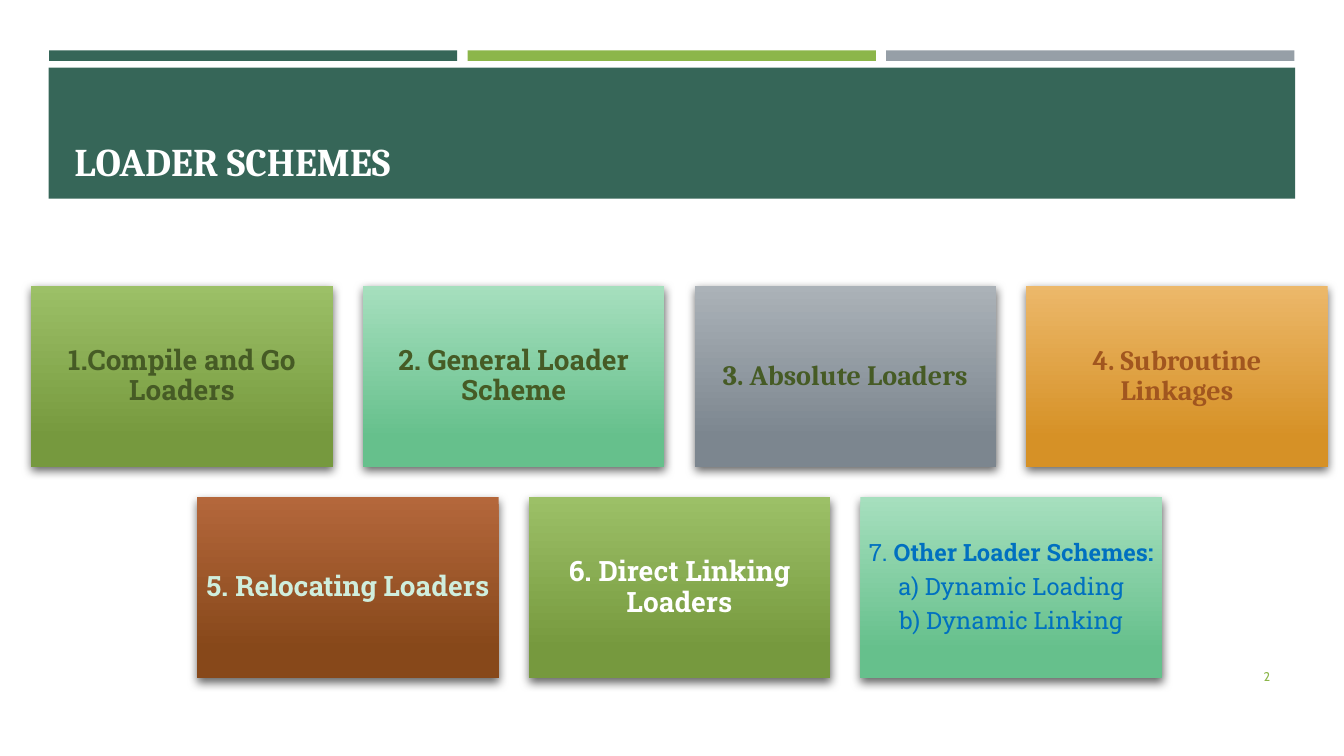
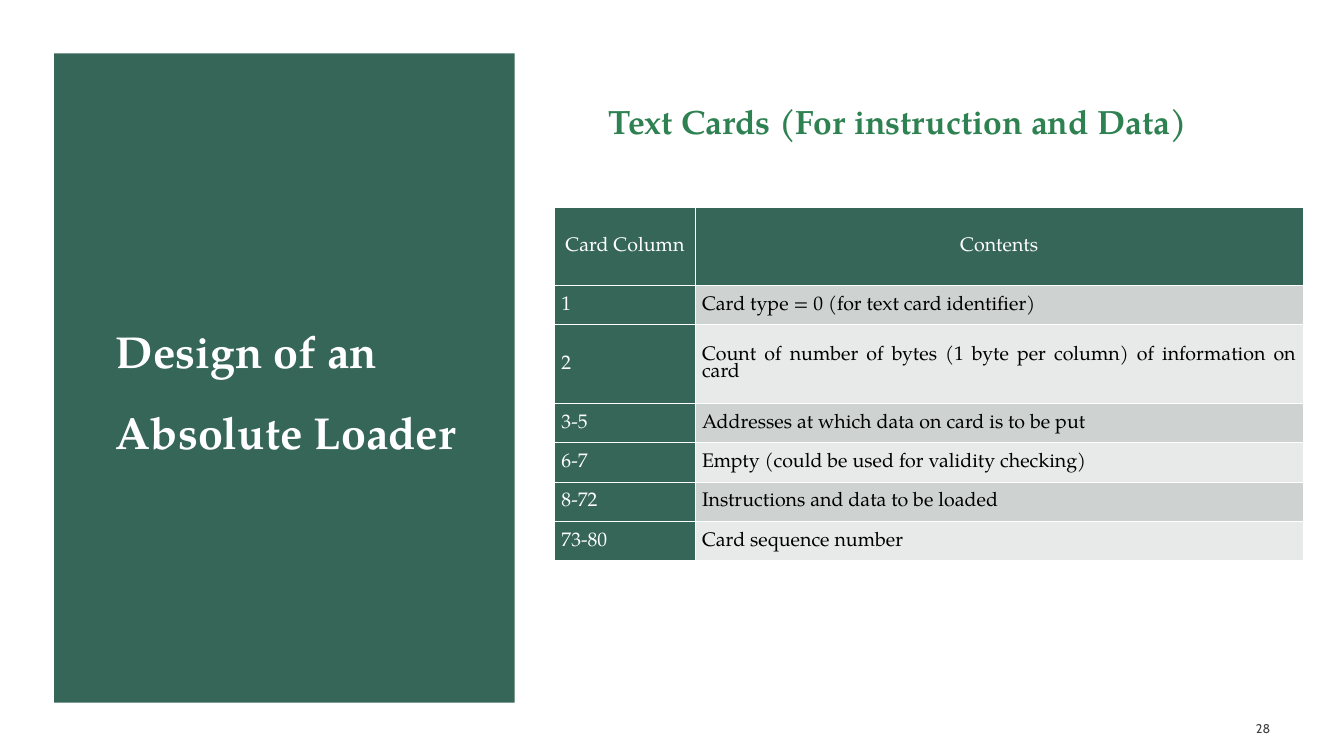
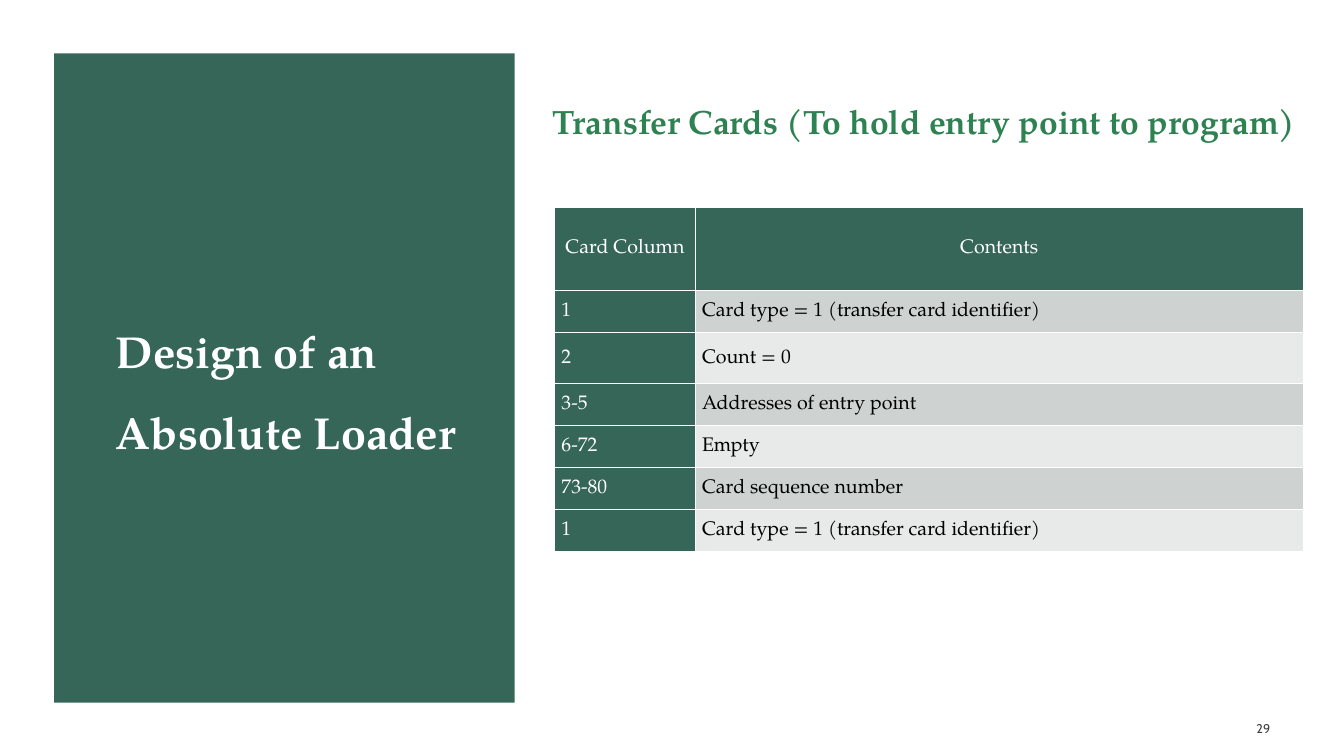
from lxml.etree import SubElement
from pptx import Presentation
from pptx.dml.color import RGBColor
from pptx.enum.shapes import MSO_SHAPE
from pptx.enum.text import MSO_ANCHOR as ANCHOR, MSO_AUTO_SIZE as AUTO, PP_ALIGN as AL
from pptx.oxml.ns import qn
from pptx.util import Pt

GREEN, LIME, GREY, WHITE, BLACK = "366658", "8CB64A", "969FA7", "FFFFFF", "000000"
HEADING, NUMBER, BLUE, OLIVE = "2E8151", "404040", "0070C0", "465B25"
BODY_ROWS = "CED3D1", "E8EAEA"
SERIF, SLAB, BOOK, SANS = "Cambria", "Roboto Slab", "TeX Gyre Pagella", "Cabin"

LIME_GRAD, MINT_GRAD = ("9CC067", "76993E"), ("A6DFBE", "66C08C")
GREY_GRAD, GOLD_GRAD = ("ABB2B8", "7C868F"), ("ECB86A", "D69126")
RUST_GRAD = "B4673B", "87481A"

CARD_W, CARD_H, CARD_GAP = 215.4, 129.6, 21.5
CARD_LEFT, CARD_TOP, CARDS_PER_ROW = 22.3, 204, 4

# Gradient, font, text colour, size, paragraphs of (text, bold) runs
CARDS = [
    (LIME_GRAD, SLAB, OLIVE, 20, [[("1.Compile and Go Loaders", True)]]),
    (MINT_GRAD, SLAB, OLIVE, 20, [[("2. General Loader Scheme", True)]]),
    (GREY_GRAD, SERIF, OLIVE, 20, [[("3. Absolute Loaders", True)]]),
    (GOLD_GRAD, SERIF, "A1561F", 20, [[("4. Subroutine Linkages", True)]]),
    (RUST_GRAD, SLAB, "CFEEDD", 20, [[("5. Relocating Loaders", True)]]),
    (LIME_GRAD, SLAB, WHITE, 20, [[("6. Direct Linking Loaders", True)]]),
    (MINT_GRAD, SLAB, BLUE, 17, [
        [("7.", False), (" Other Loader Schemes:", True)],
        [("a) Dynamic Loading", False)],
        [("b) Dynamic Linking", False)]]),
]

TABLE_HEAD = "Card Column", "Contents"
TEXT_CARDS = [
    ("1", "Card type = 0 (for text card identifier)"),
    ("2", "Count of number of bytes (1 byte per column) of information on card"),
    ("3-5", "Addresses at which data on card is to be put"),
    ("6-7", "Empty (could be used for validity checking)"),
    ("8-72", "Instructions and data to be loaded"),
    ("73-80", "Card sequence number"),
]
TRANSFER_CARDS = [
    ("1", "Card type = 1 (transfer card identifier)"),
    ("2", "Count = 0"),
    ("3-5", "Addresses of entry point"),
    ("6-72", "Empty"),
    ("73-80", "Card sequence number"),
    ("1", "Card type = 1 (transfer card identifier)"),
]


def rgb(value):
    return RGBColor.from_string(value)


def format_run(r, font, size, color, bold=False):
    r.font.name, r.font.size, r.font.bold = font, Pt(size), bold
    r.font.color.rgb = rgb(color)


def write(p, text, font, size, color, bold=False, align=AL.LEFT):
    p.text = text
    p.alignment = align
    for r in p.runs:
        format_run(r, font, size, color, bold)


def add_rect(s, left, top, width, height, fill=None):
    sp = s.shapes.add_shape(MSO_SHAPE.RECTANGLE, Pt(left), Pt(top), Pt(width), Pt(height))
    sp.line.fill.background()
    sp.shadow.inherit = False
    if fill:
        sp.fill.solid()
        sp.fill.fore_color.rgb = rgb(fill)
    return sp


def add_text(s, left, top, width, height, text, anchor=ANCHOR.TOP, **style):
    tf = s.shapes.add_textbox(Pt(left), Pt(top), Pt(width), Pt(height)).text_frame
    tf.word_wrap = True
    tf.vertical_anchor = anchor
    write(tf.paragraphs[0], text, **style)


def add_number(s, top, number, color):
    add_text(s, 831.6, top, 82.8, 28.8, number, ANCHOR.MIDDLE,
             font=SANS, size=9, color=color, align=AL.RIGHT)


def set_title(s, left, top, width, height, text, font, size, anchor, spacing=1.0):
    """Place the title in front of the shapes drawn so far."""
    sp = s.shapes.title
    sp.element.getparent().append(sp.element)
    sp.left, sp.top, sp.width, sp.height = Pt(left), Pt(top), Pt(width), Pt(height)
    tf = sp.text_frame
    tf.auto_size, tf.word_wrap, tf.vertical_anchor = AUTO.NONE, True, anchor
    write(tf.paragraphs[0], text, font, size, WHITE, bold=True)
    tf.paragraphs[0].line_spacing = spacing


def add_shadow(sp):
    effects = sp.element.spPr.find(qn("a:effectLst"))
    shadow = SubElement(effects, qn("a:outerShdw"), blurRad=str(Pt(7)), dist=str(Pt(3)),
                        dir="5040000", rotWithShape="0")
    color = SubElement(shadow, qn("a:srgbClr"), val=BLACK)
    SubElement(color, qn("a:alpha"), val="60000")


def add_card(s, left, top, gradient, font, color, size, paragraphs):
    sp = add_rect(s, left, top, CARD_W, CARD_H)
    sp.fill.gradient()
    sp.fill.gradient_angle = 270
    for stop, shade, position in zip(sp.fill.gradient_stops, gradient, (0, 0.84)):
        stop.color.rgb = rgb(shade)
        stop.position = position
    add_shadow(sp)
    tf = sp.text_frame
    tf.word_wrap, tf.vertical_anchor = True, ANCHOR.MIDDLE
    tf.margin_left = tf.margin_right = tf.margin_top = tf.margin_bottom = Pt(5.5)
    for i, runs in enumerate(paragraphs):
        p = tf.add_paragraph() if i else tf.paragraphs[0]
        p.alignment, p.line_spacing, p.space_after = AL.CENTER, 0.9, Pt(size * 0.35)
        for text, bold in runs:
            r = p.add_run()
            r.text = text
            format_run(r, font, size, color, bold)


def set_borders(cell, color, width):
    tcPr = cell._tc.get_or_add_tcPr()
    for i, side in enumerate("LRTB"):
        ln = SubElement(tcPr, qn("a:ln" + side), w=str(Pt(width)))
        SubElement(SubElement(ln, qn("a:solidFill")), qn("a:srgbClr"), val=color)
        tcPr.insert(i, ln)


def fill_cell(cell, text, fill, color, align):
    cell.margin_left = cell.margin_right = Pt(4.9)
    cell.margin_top = cell.margin_bottom = 0
    cell.vertical_anchor = ANCHOR.MIDDLE
    cell.fill.solid()
    cell.fill.fore_color.rgb = rgb(fill)
    set_borders(cell, WHITE, 1)
    p = cell.text_frame.paragraphs[0]
    write(p, text, BOOK, 14, color, align=align)
    p.line_spacing = 0.85


def add_card_table(s, rows, row_height, count_height):
    """Header is two rows high; the row for column 2 has its own height."""
    heights = [2 * row_height, row_height, count_height] + [row_height] * (len(rows) - 2)
    table = s.shapes.add_table(len(heights), 2, Pt(396.2), Pt(147.8),
                               Pt(534.8), Pt(sum(heights))).table
    for column, width in zip(table.columns, (100.4, 434.4)):
        column.width = Pt(width)
    for i, (height, texts) in enumerate(zip(heights, [TABLE_HEAD] + rows)):
        table.rows[i].height = Pt(height)
        for j, text in enumerate(texts):
            green = i == 0 or j == 0
            fill_cell(table.cell(i, j), text,
                      GREEN if green else BODY_ROWS[(i - 1) % 2],
                      WHITE if green else BLACK,
                      AL.JUSTIFY if i else AL.CENTER)


def add_schemes_slide(prs):
    s = prs.slides.add_slide(prs.slide_layouts[5])
    for i, color in enumerate((GREEN, LIME, GREY)):
        add_rect(s, 35 + 299 * i, 36, 291.6, 7.5, color)
    add_rect(s, 34.8, 48.4, 890.4, 93.6, GREEN)
    set_title(s, 46, 55.4, 868.4, 80, "LOADER SCHEMES", SERIF, 28, ANCHOR.BOTTOM)
    pitch = CARD_W + CARD_GAP
    for i, card in enumerate(CARDS):
        row, column = divmod(i, CARDS_PER_ROW)
        add_card(s, CARD_LEFT + pitch * (column + row / 2),
                 CARD_TOP + row * (CARD_H + CARD_GAP), *card)
    add_number(s, 468.7, "2", LIME)


def add_table_slide(prs, heading, left, width, number, rows, row_height, count_height):
    s = prs.slides.add_slide(prs.slide_layouts[5])
    add_rect(s, 38.6, 38.2, 329, 463.6, GREEN)
    set_title(s, 75.6, 87.8, 275, 364.4, "Design of an Absolute Loader",
              BOOK, 32, ANCHOR.MIDDLE, 1.5)
    add_number(s, 506.2, number, NUMBER)
    add_card_table(s, rows, row_height, count_height)
    add_text(s, left, 68.4, width, 36, heading,
             font=BOOK, size=24, color=HEADING, bold=True)


def main():
    prs = Presentation()
    prs.slide_width, prs.slide_height = Pt(960), Pt(540)
    add_schemes_slide(prs)
    add_table_slide(prs, "Text Cards (For instruction and Data)", 427.7, 453, "28",
                    TEXT_CARDS, 28.1, 56.2)
    add_table_slide(prs, "Transfer Cards (To hold entry point to program)", 387.4, 562.3, "29",
                    TRANSFER_CARDS, 30, 36)
    prs.save("out.pptx")


if __name__ == "__main__":
    main()
